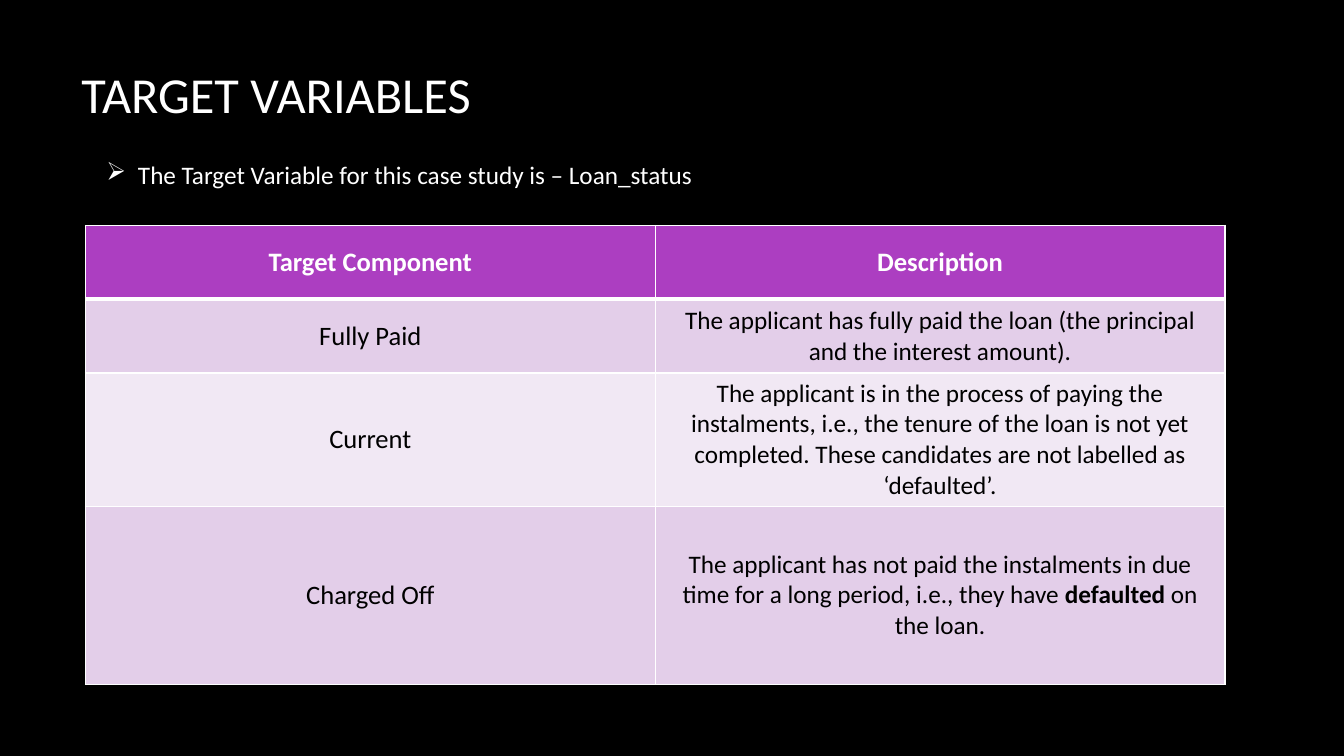
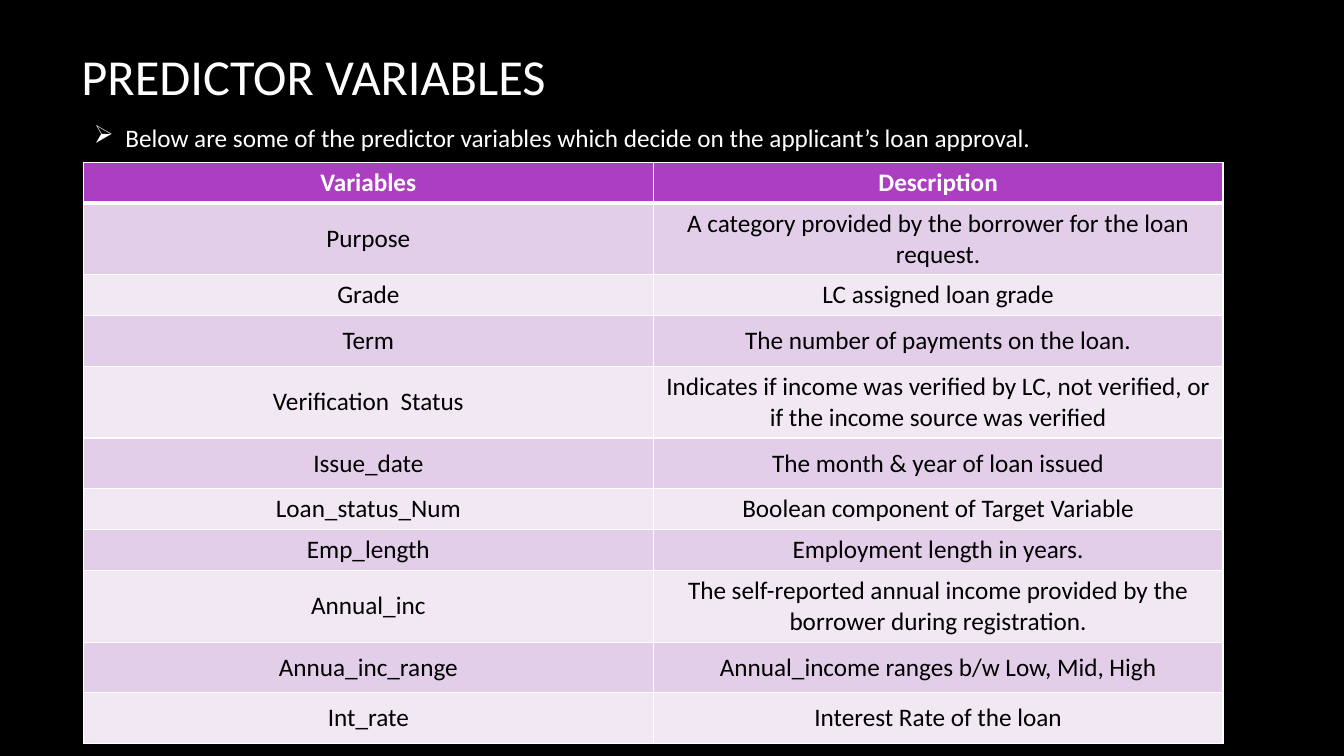
import dataclasses

import lxml.etree
import pptx
import pptx.dml.color
import pptx.enum.text
import pptx.oxml.ns
import pptx.util

Pt = pptx.util.Pt
ALIGN = pptx.enum.text.PP_ALIGN
MIDDLE = pptx.enum.text.MSO_ANCHOR.MIDDLE
FIXED = pptx.enum.text.MSO_AUTO_SIZE.NONE


@dataclasses.dataclass(frozen=True)
class Theme:
    font: str = "Calibri"
    background: str = "000000"
    light: str = "FFFFFF"
    dark: str = "000000"
    header: str = "AC3EC1"
    bands: tuple = ("E3CEE9", "F1E8F4")
    title_size: int = 36
    body_size: int = 18
    label_size: int = 19
    thin: int = 1
    thick: int = 3


def apply(target, values):
    for name, value in values.items():
        setattr(target, name, value)


def rgb(color):
    return pptx.dml.color.RGBColor.from_string(color)


def add_element(parent, tag, **attributes):
    return lxml.etree.SubElement(parent, pptx.oxml.ns.qn(tag), attributes)


class Deck:
    """Holds the presentation, its style and the current slide."""

    def __init__(self, theme):
        self.theme = theme
        self.presentation = pptx.Presentation()
        apply(self.presentation, {"slide_width": Pt(960), "slide_height": Pt(540)})
        self.fill(self.presentation.slide_master.background, theme.background)
        self.slide = None

    def fill(self, target, color):
        target.fill.solid()
        target.fill.fore_color.rgb = rgb(color)

    def add_text(self, paragraph, text, size, color, align=ALIGN.LEFT, bold=False):
        """Add text runs; parts between asterisks are bold."""
        paragraph.alignment = align
        for index, part in enumerate(text.split("*")):
            run = paragraph.add_run()
            run.text = part
            apply(run.font, {"name": self.theme.font, "size": Pt(size),
                             "bold": bold or index % 2 == 1})
            run.font.color.rgb = rgb(color)

    def place(self, shape, left, top, width, height):
        apply(shape, {"left": Pt(left), "top": Pt(top),
                      "width": Pt(width), "height": Pt(height)})
        apply(shape.text_frame, {"word_wrap": True, "auto_size": FIXED,
                                 "vertical_anchor": MIDDLE})

    def add_slide(self, title, top, height):
        layout = self.presentation.slide_layouts.get_by_name("Title Only")
        self.slide = self.presentation.slides.add_slide(layout)
        shape = self.slide.shapes.title
        self.place(shape, 51, top, 741, height)
        self.add_text(shape.text_frame.paragraphs[0], title,
                      self.theme.title_size, self.theme.light)

    def add_bullet(self, text, left, top):
        shape = self.slide.shapes.add_textbox(0, 0, 0, 0)
        self.place(shape, left, top, 704, 36)
        paragraph = shape.text_frame.paragraphs[0]
        self.add_text(paragraph, text, self.theme.body_size, self.theme.light)
        paragraph.space_after = Pt(10)
        properties = paragraph._p.get_or_add_pPr()
        indent = Pt(22.5)
        properties.set("marL", str(indent))
        properties.set("indent", str(-indent))
        color = add_element(properties, "a:buClr")
        add_element(color, "a:srgbClr", val=self.theme.light)
        add_element(properties, "a:buChar", char="➢")

    def add_borders(self, cell, row):
        """Outline a cell, with a thick rule below the header row."""
        theme = self.theme
        widths = {"L": theme.thin, "R": theme.thin,
                  "T": theme.thick if row == 1 else theme.thin,
                  "B": theme.thick if row == 0 else theme.thin}
        properties = cell._tc.get_or_add_tcPr()
        for index, (side, width) in enumerate(widths.items()):
            line = add_element(properties, f"a:ln{side}", w=str(Pt(width)))
            add_element(add_element(line, "a:solidFill"), "a:srgbClr", val=theme.light)
            properties.insert(index, line)

    def add_table(self, rows, heights, left, top, label_size):
        theme = self.theme
        column_width = 407
        frame = self.slide.shapes.add_table(
            len(rows), 2, Pt(left), Pt(top), Pt(2 * column_width), Pt(sum(heights)))
        table = frame.table
        for column in table.columns:
            column.width = Pt(column_width)
        for r, (texts, height) in enumerate(zip(rows, heights)):
            table.rows[r].height = Pt(height)
            is_header = r == 0
            for c, text in enumerate(texts):
                cell = table.cell(r, c)
                cell.vertical_anchor = MIDDLE
                self.fill(cell, theme.header if is_header else theme.bands[(r - 1) % 2])
                self.add_borders(cell, r)
                self.add_text(cell.text_frame.paragraphs[0], text,
                              label_size if is_header or c == 0 else theme.body_size,
                              theme.light if is_header else theme.dark,
                              ALIGN.CENTER, is_header)


TARGETS = [
    ("Target Component", "Description"),
    ("Fully Paid",
     "The applicant has fully paid the loan (the principal and the interest amount)."),
    ("Current",
     "The applicant is in the process of paying the instalments, i.e., the tenure of the "
     "loan is not yet completed. These candidates are not labelled as ‘defaulted’."),
    ("Charged Off",
     "The applicant has not paid the instalments in due time for a long period, i.e., "
     "they have *defaulted* on the loan."),
]

PREDICTORS = [
    ("Variables", "Description"),
    ("Purpose", "A category provided by the borrower for the loan request."),
    ("Grade", "LC assigned loan grade"),
    ("Term", "The number of payments on the loan."),
    ("Verification  Status",
     "Indicates if income was verified by LC, not verified, or if the income source "
     "was verified"),
    ("Issue_date", "The month & year of loan issued"),
    ("Loan_status_Num", "Boolean component of Target Variable"),
    ("Emp_length", "Employment length in years."),
    ("Annual_inc",
     "The self-reported annual income provided by the borrower during registration."),
    ("Annua_inc_range", "Annual_income ranges b/w Low, Mid, High"),
    ("Int_rate", "Interest Rate of the loan"),
]


def main():
    theme = Theme()
    deck = Deck(theme)

    # Target variables
    deck.add_slide("TARGET VARIABLES", 36, 61)
    deck.add_bullet("The Target Variable for this case study is – Loan_status", 69, 106.5)
    deck.add_table(TARGETS, [52.7, 52.7, 95, 127.5], 61, 161, theme.label_size)

    # Predictor variables
    deck.add_slide("PREDICTOR VARIABLES", 27.5, 52.5)
    deck.add_bullet("Below are some of the predictor variables which decide on the "
                    "applicant’s loan approval.", 60, 80)
    short, medium, tall = 29, 36.2, 50.6
    heights = [short, tall, short, medium, tall, medium,
               short, short, tall, medium, medium]
    deck.add_table(PREDICTORS, heights, 59.6, 116, theme.body_size)

    deck.presentation.save("out.pptx")


if __name__ == "__main__":
    main()
